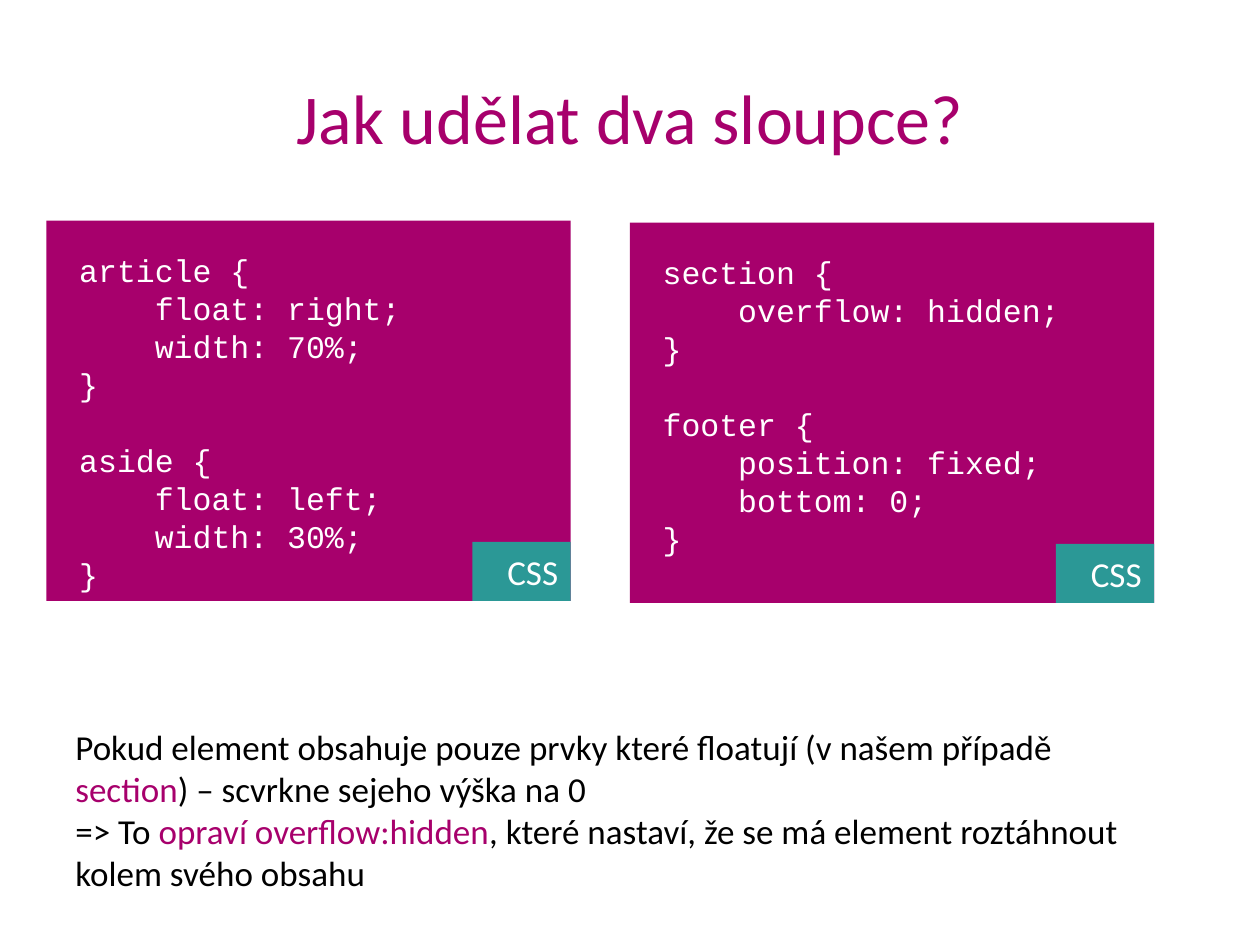
import pptx
import pptx.util
import pptx.dml.color
import pptx.enum.shapes
import pptx.enum.text

Pt = pptx.util.Pt
ALIGN = pptx.enum.text.PP_ALIGN
ANCHOR = pptx.enum.text.MSO_ANCHOR

PURPLE, TEAL, WHITE, BLACK = "A7006C", "2B9896", "FFFFFF", "000000"

# Content: each panel is its top left corner and its CSS rules
TITLE = "Jak udělat dva sloupce?"
PANELS = [
    ((26.6, 126), [
        ["article {", "    float: right;", "    width: 70%;", "}"],
        ["aside {", "    float: left;", "    width: 30%;", "}"],
    ]),
    ((360, 127.2), [
        ["section {", "    overflow: hidden;", "}"],
        ["footer {", "    position: fixed;", "    bottom: 0;", "}"],
    ]),
]
EXPLANATION = [
    [("Pokud element obsahuje pouze prvky které floatují (v našem případě ", BLACK),
     ("section", PURPLE), (") – scvrkne sejeho výška na 0", BLACK)],
    [("=> To ", BLACK), ("opraví overflow:hidden", PURPLE),
     (", které nastaví, že se má element roztáhnout kolem svého obsahu", BLACK)],
]

PANEL_WIDTH, PANEL_HEIGHT = 299.5, 217.4
TAG_WIDTH, TAG_HEIGHT = 56.2, 33.8
CODE_LINE = 21.7


def color(value):
    return pptx.dml.color.RGBColor.from_string(value)


def add_rectangle(shapes, left, top, width, height, fill):
    box = shapes.add_shape(pptx.enum.shapes.MSO_SHAPE.RECTANGLE,
                           Pt(left), Pt(top), Pt(width), Pt(height))
    box.shadow.inherit = False
    box.fill.solid()
    box.fill.fore_color.rgb = color(fill)
    box.line.fill.background()
    return box


def add_text(shapes, left, top, width, height, anchor=ANCHOR.TOP):
    box = shapes.add_textbox(Pt(left), Pt(top), Pt(width), Pt(height))
    box.text_frame.word_wrap = True
    box.text_frame.vertical_anchor = anchor
    return box.text_frame


def format_runs(para, font, size, fill):
    for span in para.runs:
        span.font.name = font
        span.font.size = Pt(size)
        span.font.color.rgb = color(fill)


def add_panel(shapes, left, top, rules):
    add_rectangle(shapes, left, top, PANEL_WIDTH, PANEL_HEIGHT, PURPLE)

    # Code, with one line of space before every later rule
    frame = add_text(shapes, left + 11.6, top + 14, 278.6, 203.4)
    frame.text = "\n".join(line for rule in rules for line in rule)
    for para in frame.paragraphs:
        para.line_spacing = Pt(CODE_LINE)
        format_runs(para, "Courier New", 18, WHITE)
    frame.paragraphs[len(rules[0])].space_before = Pt(CODE_LINE)

    # Language tag in the bottom right corner
    tag = add_rectangle(shapes, left + PANEL_WIDTH - TAG_WIDTH,
                        top + PANEL_HEIGHT - TAG_HEIGHT, TAG_WIDTH, TAG_HEIGHT, TEAL)
    tag.text_frame.text = "CSS"
    tag.text_frame.vertical_anchor = ANCHOR.MIDDLE
    para = tag.text_frame.paragraphs[0]
    para.alignment = ALIGN.RIGHT
    format_runs(para, "Calibri", 20, WHITE)


deck = pptx.Presentation()
deck.slide_width, deck.slide_height = Pt(720), Pt(540)
page = deck.slides.add_slide(deck.slide_layouts[6])

# Title
title = add_text(page.shapes, 36, 21.6, 648, 90, ANCHOR.MIDDLE)
title.text = TITLE
title.paragraphs[0].alignment = ALIGN.CENTER
format_runs(title.paragraphs[0], "Calibri", 40, PURPLE)

# Code panels
for (left, top), rules in PANELS:
    add_panel(page.shapes.add_group_shape().shapes, left, top, rules)

# Explanation
explanation = add_text(page.shapes, 36, 411.1, 615, 104.4)
for index, spans in enumerate(EXPLANATION):
    para = explanation.add_paragraph() if index else explanation.paragraphs[0]
    for words, fill in spans:
        para.add_run().text = words
    format_runs(para, "Calibri", 20, BLACK)
    for span, (words, fill) in zip(para.runs, spans):
        span.font.color.rgb = color(fill)

deck.save("out.pptx")
